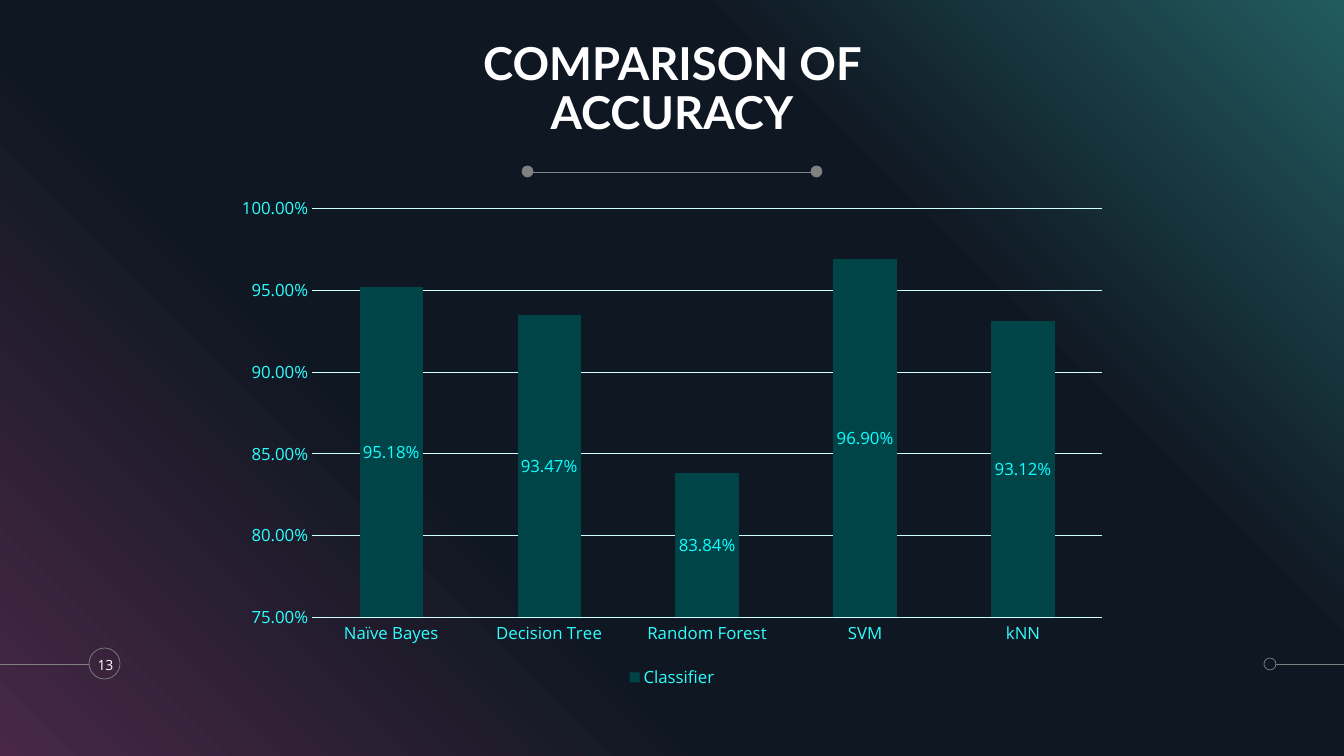
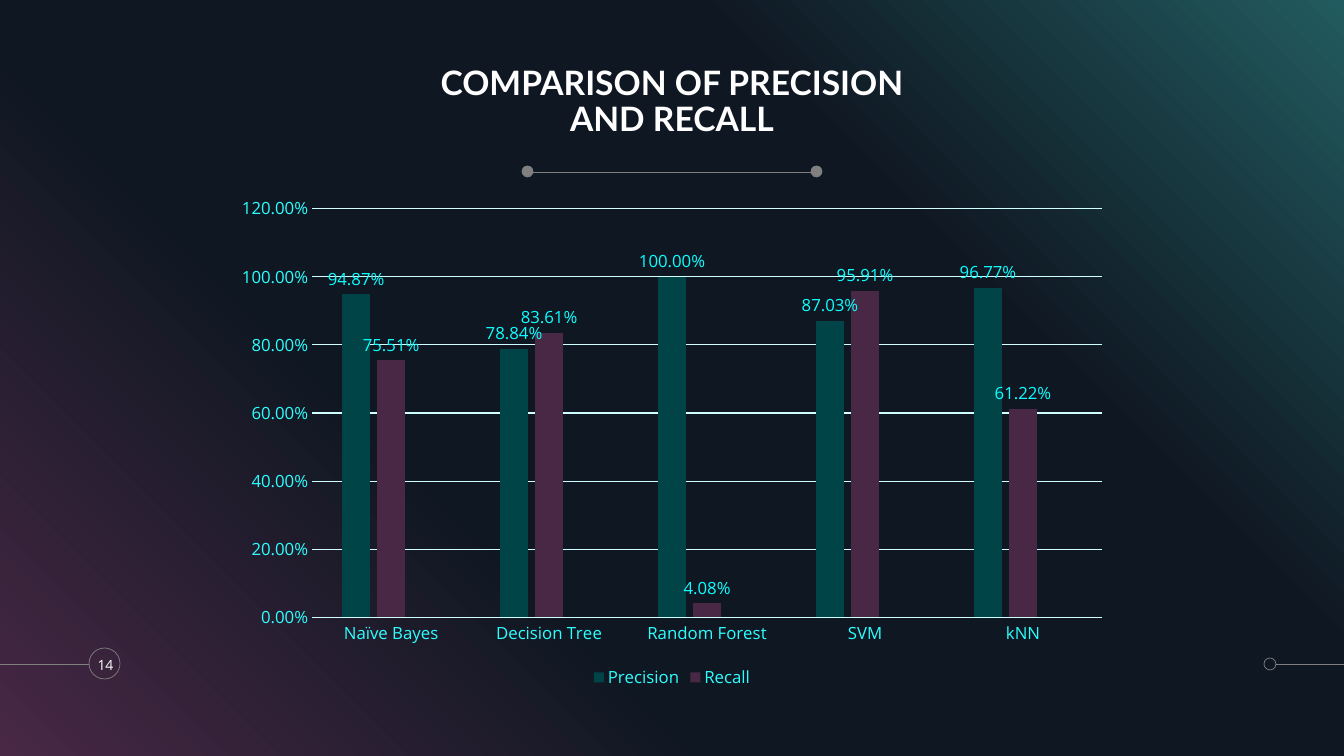
from lxml.etree import SubElement
from pptx import Presentation
from pptx.chart.data import CategoryChartData
from pptx.dml.color import RGBColor
from pptx.enum.chart import XL_CHART_TYPE as KIND
from pptx.enum.chart import XL_LABEL_POSITION as SPOT
from pptx.enum.chart import XL_LEGEND_POSITION, XL_TICK_MARK
from pptx.enum.shapes import MSO_CONNECTOR, MSO_SHAPE
from pptx.enum.text import MSO_ANCHOR, PP_ALIGN
from pptx.oxml import parse_xml
from pptx.oxml.ns import qn
from pptx.util import Pt

PX = 12192000 / 1344
HUES = {
    "white": "FFFFFF", "gray": "808080", "plum": "482845", "night": "0F1722",
    "sea": "225B5F", "teal": "004448", "grid": "CFFFFF", "axis": "2DFFFF",
    "label": "0DFFFF",
}
INK = {name: RGBColor.from_string(code) for name, code in HUES.items()}
HEAD, BODY = "Lato", "Open Sans"
FADE = [(0, "plum"), (34, "night"), (69, "night"), (100, "sea")]
LINES = [(1276, 664, 1344, 664), (0, 664, 89, 664), (530, 172, 816, 172)]
RINGS = [(89, 648, 31, None), (1264, 658, 12, None),
         (522, 166, 11, "gray"), (811, 166, 11, "gray")]
CATS = ["Naïve Bayes", "Decision Tree", "Random Forest", "SVM", "kNN"]
RATE = {"number_format": "0.00%", "number_format_is_linked": False}
BLANK = [None] * len(CATS)

# Blank series keep their place in the data but not in the legend.
PAGES = [
    {"num": "13", "title": "COMPARISON OF ACCURACY", "size": 32.4,
     "kind": KIND.COLUMN_STACKED, "spot": SPOT.CENTER,
     "bars": {"gap_width": 150, "overlap": 100},
     "scale": {"minimum_scale": 0.75, "maximum_scale": 1, "major_unit": 0.05},
     "data": [("Classifier", "teal", [0.9518, 0.9347, 0.8384, 0.969, 0.9312]),
              ("Series 2", None, BLANK),
              ("Series 3", None, BLANK)]},
    {"num": "14", "title": "COMPARISON OF PRECISION AND RECALL", "size": 24,
     "kind": KIND.COLUMN_CLUSTERED, "spot": SPOT.OUTSIDE_END,
     "bars": {"gap_width": 219, "overlap": -27},
     "scale": {"minimum_scale": 0, "maximum_scale": 1.2, "major_unit": 0.2},
     "data": [("Precision", "teal", [0.9487, 0.7884, 1, 0.8703, 0.9677]),
              ("Recall", "plum", [0.7551, 0.8361, 0.0408, 0.9591, 0.6122]),
              ("Series 3", None, BLANK)]},
]


def put(item, **values):
    """Set each named format value on the item; colours go by name."""
    for key, value in values.items():
        if key == "ink":
            item.color.rgb = INK[value]
        else:
            setattr(item, key, value)


def px(*spots):
    """Turn whole pixels into EMU."""
    return [round(spot * PX) for spot in spots]


deck = Presentation()
deck.slide_width, deck.slide_height = px(1344, 756)

for page in PAGES:
    slide = deck.slides.add_slide(deck.slide_layouts[6])
    shapes = slide.shapes

    # Backdrop
    back = shapes.add_shape(MSO_SHAPE.RECTANGLE, *px(0, 0, 1344, 756))
    back.shadow.inherit = False
    back.line.fill.background()
    back.fill.gradient()
    back.fill.gradient_angle = 45
    stops = back.fill._fill._gradFill.find(qn("a:gsLst"))
    for old in list(stops):
        stops.remove(old)
    for place, hue in FADE:
        stop = SubElement(stops, qn("a:gs"), pos=str(place * 1000))
        SubElement(stop, qn("a:srgbClr"), val=HUES[hue])

    # Rules and rings
    for ends in LINES:
        rule = shapes.add_connector(MSO_CONNECTOR.STRAIGHT, *px(*ends))
        put(rule.line, ink="gray", width=Pt(0.5))
        SubElement(rule._element.spPr, qn("a:effectLst"))
    for left, top, size, hue in RINGS:
        ring = shapes.add_shape(MSO_SHAPE.OVAL, *px(left, top, size, size))
        ring.shadow.inherit = False
        put(ring.line, ink="gray", width=Pt(0.5))
        if hue:
            ring.fill.solid()
            ring.fill.fore_color.rgb = INK[hue]
        else:
            ring.fill.background()

    # Page number and title
    texts = [
        (page["num"], (86, 648, 39, 33), MSO_ANCHOR.MIDDLE, 1,
         {"name": BODY, "size": Pt(10), "bold": False}),
        (page["title"], (424, 50, 496, 89), MSO_ANCHOR.BOTTOM, 0.9,
         {"name": HEAD, "size": Pt(page["size"]), "bold": True}),
    ]
    for words, box, anchor, space, face in texts:
        frame = shapes.add_textbox(*px(*box)).text_frame
        put(frame, word_wrap=True, vertical_anchor=anchor, margin_left=0,
            margin_right=0, margin_top=0, margin_bottom=0)
        para = frame.paragraphs[0]
        put(para, alignment=PP_ALIGN.CENTER, line_spacing=space)
        run = para.add_run()
        run.text = words
        put(run.font, ink="white", **face)

    # Chart
    data = CategoryChartData(number_format="0.00%")
    data.categories = CATS
    for name, hue, rates in page["data"]:
        data.add_series(name, rates)
    chart = shapes.add_chart(page["kind"], *px(224, 187, 896, 506), data).chart
    put(chart, has_title=False, has_legend=True)
    put(chart.font, name=BODY, size=Pt(12), ink="axis")
    plot = chart.plots[0]
    put(plot, vary_by_categories=False, **page["bars"])

    cat, val = chart.category_axis, chart.value_axis
    for axis in (cat, val):
        put(axis, major_tick_mark=XL_TICK_MARK.NONE,
            minor_tick_mark=XL_TICK_MARK.NONE)
        put(axis.tick_labels.font, name=BODY, size=Pt(12), ink="axis")
    put(val, has_major_gridlines=True, **page["scale"])
    put(val.tick_labels, **RATE)
    val.format.line.fill.background()
    for line in (cat.format.line, val.major_gridlines.format.line):
        put(line, ink="grid", width=Pt(0.75))

    legend = chart.legend
    put(legend, position=XL_LEGEND_POSITION.BOTTOM, include_in_layout=False)
    put(legend.font, name=BODY, size=Pt(12), ink="axis")

    last = legend._element.find(qn("c:legendPos"))
    for rank, (name, hue, rates) in enumerate(page["data"]):
        if hue is None:
            entry = parse_xml(
                '<c:legendEntry xmlns:c="http://schemas.openxmlformats.org/'
                f'drawingml/2006/chart"><c:idx val="{rank}"/>'
                '<c:delete val="1"/></c:legendEntry>')
            last.addnext(entry)
            last = entry
            continue
        bars = plot.series[rank]
        bars.format.fill.solid()
        bars.format.fill.fore_color.rgb = INK[hue]
        tags = bars.data_labels
        put(tags, show_value=True, position=page["spot"], **RATE)
        put(tags.font, name=BODY, size=Pt(12), ink="label")

deck.save("out.pptx")
